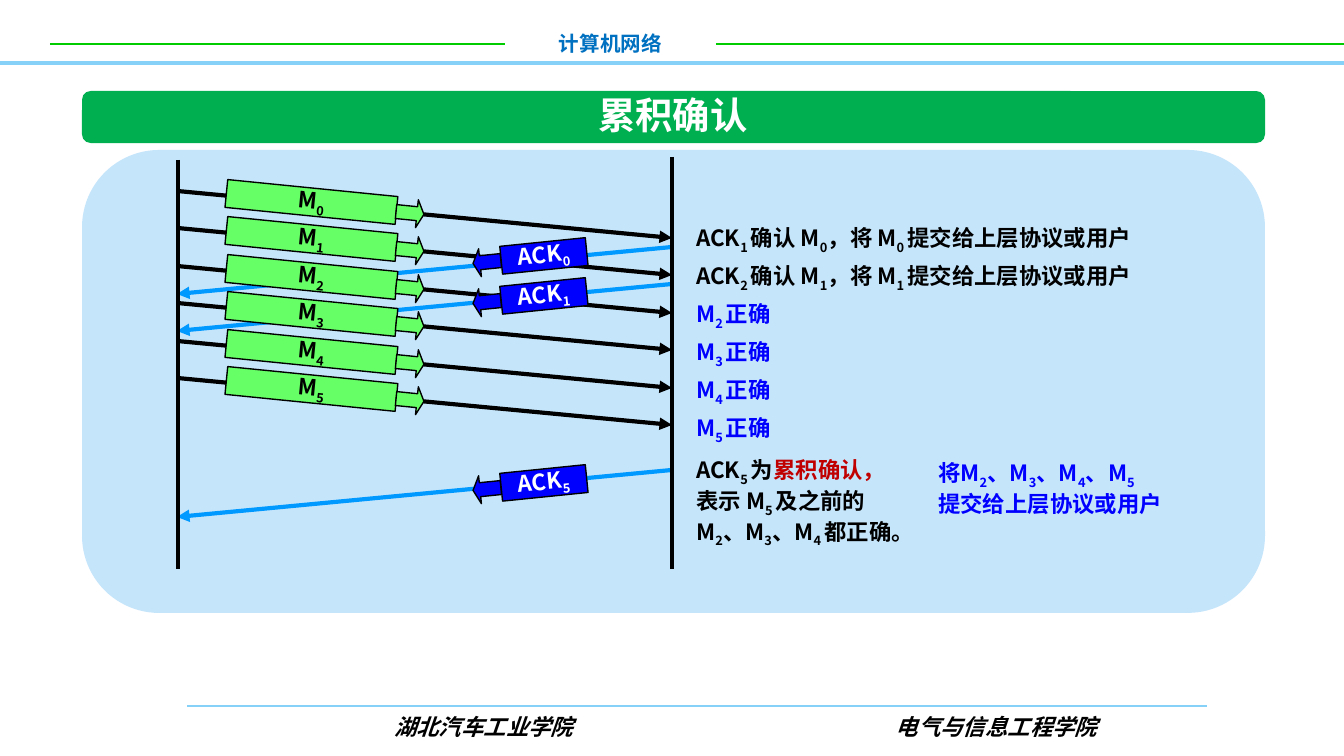
from lxml.etree import SubElement
from pptx import Presentation
from pptx.dml.color import RGBColor
from pptx.enum.shapes import MSO_CONNECTOR as Connector, MSO_SHAPE as Shape
from pptx.enum.text import MSO_ANCHOR as Anchor, PP_ALIGN as Align
from pptx.oxml.ns import qn
from pptx.util import Emu, Pt

EMU_PER_PX = 914400 / 134.4
BLACK, WHITE, BLUE, RED = "000000", "FFFFFF", "0000FF", "C00000"
GREEN, SKY, PALE = "66FF66", "0099FF", "85D1F7"
SENDER, RECEIVER, DROP = 177, 672, 47


def px(length):
    return Emu(round(length * EMU_PER_PX))


def color(code):
    return RGBColor.from_string(code)


class Sketch:
    cjk_font = "Noto Sans CJK SC"

    def __init__(self, page):
        self.page = page

    def line(self, start, end, code, width, arrow=False):
        line = self.page.shapes.add_connector(
            Connector.STRAIGHT, *map(px, start + end))
        line.line.color.rgb = color(code)
        line.line.width = Pt(width)
        properties = line._element.spPr
        if arrow:
            SubElement(properties.find(qn("a:ln")), qn("a:tailEnd"), type="triangle")
        SubElement(properties, qn("a:effectLst"))

    def shape(self, kind, area, fill, outline=None, rotation=0):
        shape = self.page.shapes.add_shape(kind, *map(px, area))
        shape.shadow.inherit = False
        shape.rotation = rotation
        shape.fill.solid()
        shape.fill.fore_color.rgb = color(fill)
        if outline:
            shape.line.color.rgb = color(outline)
            shape.line.width = Pt(0.75)
        else:
            shape.line.fill.background()
        return shape

    def add_spans(self, para, markup, code, size=12, font=cjk_font, italic=False):
        """Add runs split at "|"; every second one is a subscript."""
        for index, text in enumerate(markup.split("|")):
            if not text:
                continue
            span = para.add_run()
            span.text = text
            span.font.size = Pt(size)
            span.font.bold = True
            span.font.italic = italic or None
            span.font.color.rgb = color(code)
            span.font.name = font
            properties = span.font._element
            SubElement(properties, qn("a:ea"), typeface=self.cjk_font)
            if index % 2:
                properties.set("baseline", "-25000")

    def text(self, area, paragraphs, align=Align.LEFT, **style):
        """Add a box; each paragraph is a list of (markup, colour)."""
        box = self.page.shapes.add_textbox(*map(px, area))
        frame = box.text_frame
        frame.word_wrap = True
        for index, parts in enumerate(paragraphs):
            para = frame.add_paragraph() if index else frame.paragraphs[0]
            para.alignment = align
            for markup, code in parts:
                self.add_spans(para, markup, code, **style)
        return box

    def label(self, area, markup, fill, code, rotation):
        shape = self.shape(Shape.RECTANGLE, area, fill, BLACK, rotation)
        frame = shape.text_frame
        frame.margin_left = frame.margin_right = 0
        frame.margin_top = frame.margin_bottom = 0
        frame.vertical_anchor = Anchor.MIDDLE
        para = frame.paragraphs[0]
        para.alignment = Align.CENTER
        self.add_spans(para, markup, code)

    def message(self, number):
        top = 191 + 75 * number // 2
        self.line((SENDER, top), (RECEIVER, top + DROP), BLACK, 2.25, arrow=True)
        self.label((226, top - 3, 171, 28), f"M|{number}", GREEN, BLACK, 5.7)
        arrow = self.shape(Shape.RIGHT_ARROW, (396, top + 8, 28, 28), GREEN, BLACK, 5.7)
        arrow.adjustments[1] = 0.25

    def reply(self, number, top, label_top):
        self.line((RECEIVER, top), (SENDER, top + DROP), SKY, 2.25, arrow=True)
        arrow = self.shape(
            Shape.LEFT_ARROW, (473, label_top + 6, 28, 28), BLUE, BLACK, -5.8)
        arrow.adjustments[1] = 0.25
        self.label((501, label_top, 86, 28), f"ACK|{number}", BLUE, WHITE, -5.8)


def add_frame(sketch):
    sketch.line((187, 706), (1207, 706), PALE, 1.5)
    sketch.line((716, 44), (1344, 44), "00CC00", 1)
    sketch.line((0, 63), (1344, 63), PALE, 2)
    sketch.line((50, 44), (505, 44), "00CC00", 1)
    footer = sketch.text(
        (137, 707, 1016, 40), [[("湖北汽车工业学院\t电气与信息工程学院", BLACK)]],
        font="Arial", italic=True)
    properties = footer.text_frame.paragraphs[0]._p.get_or_add_pPr()
    properties.set("marL", str(px(244)))
    tabs = SubElement(properties, qn("a:tabLst"))
    SubElement(tabs, qn("a:tab"), pos=str(px(547)), algn="l")
    sketch.text((505, 24, 211, 39), [[("计算机网络", "0070C0")]], Align.CENTER, size=11)
    sketch.shape(Shape.ROUNDED_RECTANGLE, (82, 150, 1183, 463), "C5E5FB")
    sketch.shape(Shape.ROUNDED_RECTANGLE, (82, 91, 1183, 52), "00B050")
    sketch.text((573, 86, 200, 59), [[("累积确认", WHITE)]], Align.CENTER, size=20)


def add_exchange(sketch):
    for number in (0, 1):
        sketch.message(number)
    sketch.reply(0, 247, 242)
    sketch.message(2)
    sketch.reply(1, 284, 282)
    for number in (3, 4, 5):
        sketch.message(number)
    sketch.reply(5, 470, 469)
    sketch.line((RECEIVER, 157), (RECEIVER, 569), BLACK, 2.25)
    sketch.line((SENDER + 1, 160), (SENDER + 1, 569), BLACK, 2.25)


def add_notes(sketch):
    notes = [(f"ACK|{number + 1} |确认 M|{number}|，将 M|{number} |提交给上层协议或用户", BLACK)
             for number in (0, 1)]
    notes += [(f"M|{number} |正确", BLUE) for number in range(2, 6)]
    for row, note in enumerate(notes):
        width = 560 if row < 2 else 120
        sketch.text((683, 218 + 38 * row, width, 40), [[note]])
    sketch.text((683, 450, 277, 95), [
        [("ACK|5 |为", BLACK), ("累积确认，", RED)],
        [("表示 M|5 |及之前的", BLACK)],
        [("M|2|、M|3|、M|4 |都正确。", BLACK)],
    ])
    sketch.text((925, 453, 286, 67), [
        [("将M|2|、M|3|、M|4|、M|5", BLUE)],
        [("提交给上层协议或用户", BLUE)],
    ])


def main():
    deck = Presentation()
    deck.slide_width, deck.slide_height = px(1344), px(756)
    sketch = Sketch(deck.slides.add_slide(deck.slide_layouts[6]))
    add_frame(sketch)
    add_exchange(sketch)
    add_notes(sketch)
    deck.save("out.pptx")


if __name__ == "__main__":
    main()
